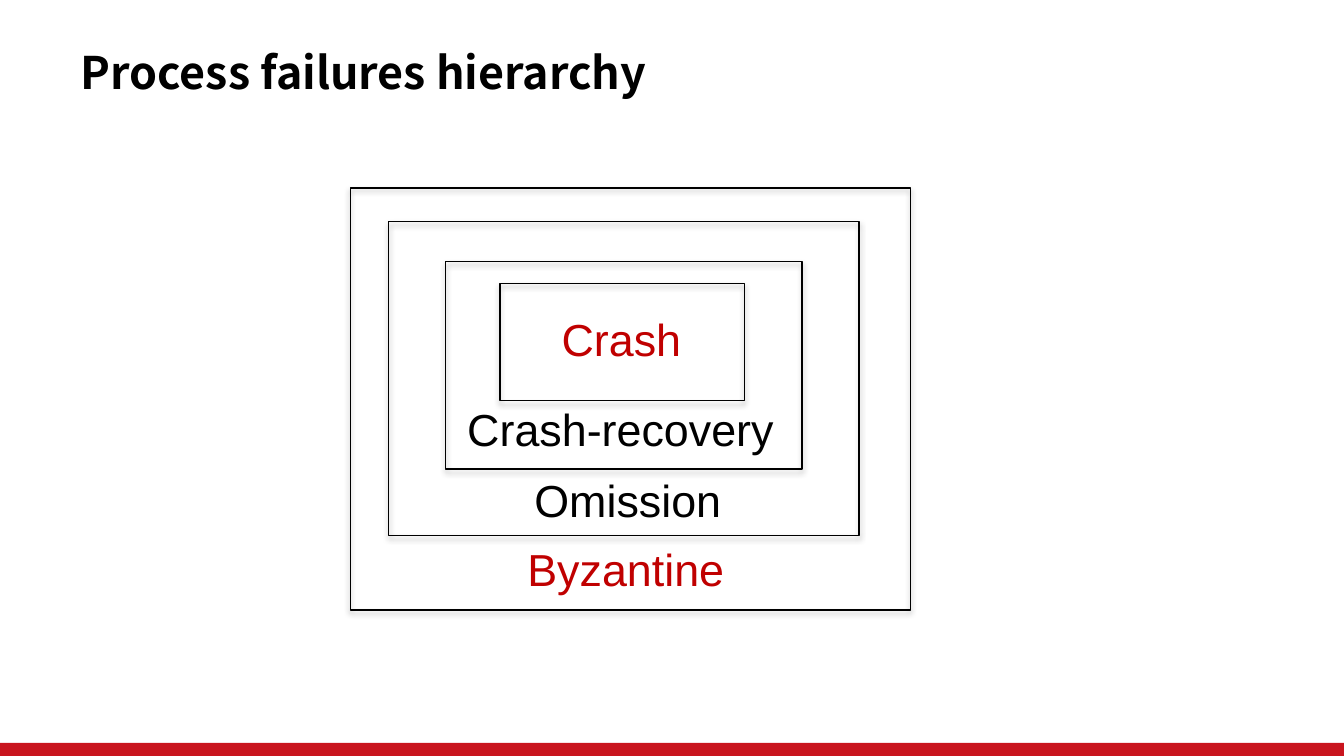
from lxml.etree import SubElement
from pptx import Presentation
from pptx.dml.color import RGBColor
from pptx.enum.shapes import MSO_SHAPE
from pptx.enum.text import MSO_ANCHOR, MSO_AUTO_SIZE, PP_ALIGN
from pptx.oxml.ns import qn
from pptx.util import Pt

COLORS = {"ink": "000000", "accent": "C00000", "bar": "C9151E"}
TITLE_FONT = {"name": "Noto Sans CJK SC", "size": Pt(24), "bold": True}
LABEL_FONT = {"name": "Arial", "size": Pt(24)}
LABEL_HEIGHT = 36

LEVELS = [
    ("Crash", "accent", (80, 51, 131, 63), (106, 62.5, 79), PP_ALIGN.LEFT, False),
    ("Crash-recovery", "ink", (51, 39.5, 191, 111), (55.5, 111, 186), PP_ALIGN.LEFT, True),
    ("Omission", "ink", (20.5, 18, 252, 168), (91.5, 149, 116), PP_ALIGN.LEFT, False),
    ("Byzantine", "accent", (0, 0, 300, 226), (52, 186, 191), PP_ALIGN.CENTER, True),
]


def rgb(key):
    """Return the palette colour called key."""
    return RGBColor.from_string(COLORS[key])


def write(frame, text, font_format, color, align):
    """Put one formatted paragraph into a text frame."""
    frame.text = text
    paragraph = frame.paragraphs[0]
    paragraph.alignment = align
    for attribute, value in font_format.items():
        setattr(paragraph.runs[0].font, attribute, value)
    paragraph.runs[0].font.color.rgb = rgb(color)


def add_soft_shadow(shape):
    """Give a shape a faint shadow straight below it."""
    effects = SubElement(shape._element.spPr, qn("a:effectLst"))
    shadow = SubElement(effects, qn("a:outerShdw"), blurRad=str(Pt(3.1)),
                        dist=str(Pt(1.8)), dir="5400000", rotWithShape="0")
    color = SubElement(shadow, qn("a:srgbClr"), val=COLORS["ink"])
    SubElement(color, qn("a:alpha"), val="35000")


def add_title(slide, left, top, width, height):
    """Place the slide title in the given box."""
    title = slide.shapes.title
    placement = {"left": left, "top": top, "width": width, "height": height}
    for attribute, value in placement.items():
        setattr(title, attribute, Pt(value))
    frame = title.text_frame
    frame_format = {"word_wrap": False, "auto_size": MSO_AUTO_SIZE.NONE,
                    "vertical_anchor": MSO_ANCHOR.MIDDLE}
    for attribute, value in frame_format.items():
        setattr(frame, attribute, value)
    write(frame, "Process failures hierarchy", TITLE_FONT, "ink", PP_ALIGN.LEFT)


def add_footer_bar(slide, left, top, width, height):
    """Draw the coloured bar along the bottom edge."""
    bar = slide.shapes.add_shape(MSO_SHAPE.RECTANGLE, Pt(left), Pt(top), Pt(width), Pt(height))
    bar.shadow.inherit = False
    bar.fill.solid()
    bar.fill.fore_color.rgb = rgb("bar")
    bar.line.fill.background()


def add_hierarchy(slide, left, top):
    """Draw the nested failure classes from the given corner."""
    for name, color, (x, y, width, height), (label_x, label_y, label_width), align, wrap in LEVELS:
        outline = slide.shapes.add_shape(MSO_SHAPE.RECTANGLE, Pt(left + x), Pt(top + y),
                                         Pt(width), Pt(height))
        outline.fill.background()
        outline.line.color.rgb = rgb("ink")
        outline.line.width = Pt(0.75)
        add_soft_shadow(outline)
        label = slide.shapes.add_textbox(Pt(left + label_x), Pt(top + label_y),
                                         Pt(label_width), Pt(LABEL_HEIGHT))
        label.text_frame.word_wrap = wrap
        label.text_frame.auto_size = MSO_AUTO_SIZE.SHAPE_TO_FIT_TEXT
        write(label.text_frame, name, LABEL_FONT, color, align)


def main():
    """Build and save the slide."""
    deck = Presentation()
    deck.slide_width, deck.slide_height = Pt(720), Pt(405)
    slide = deck.slides.add_slide(deck.slide_layouts[5])
    add_footer_bar(slide, 0, 398, 720, 7)
    add_title(slide, 36, 21, 501, 35)
    add_hierarchy(slide, 187.75, 100.75)
    deck.save("out.pptx")


if __name__ == "__main__":
    main()
